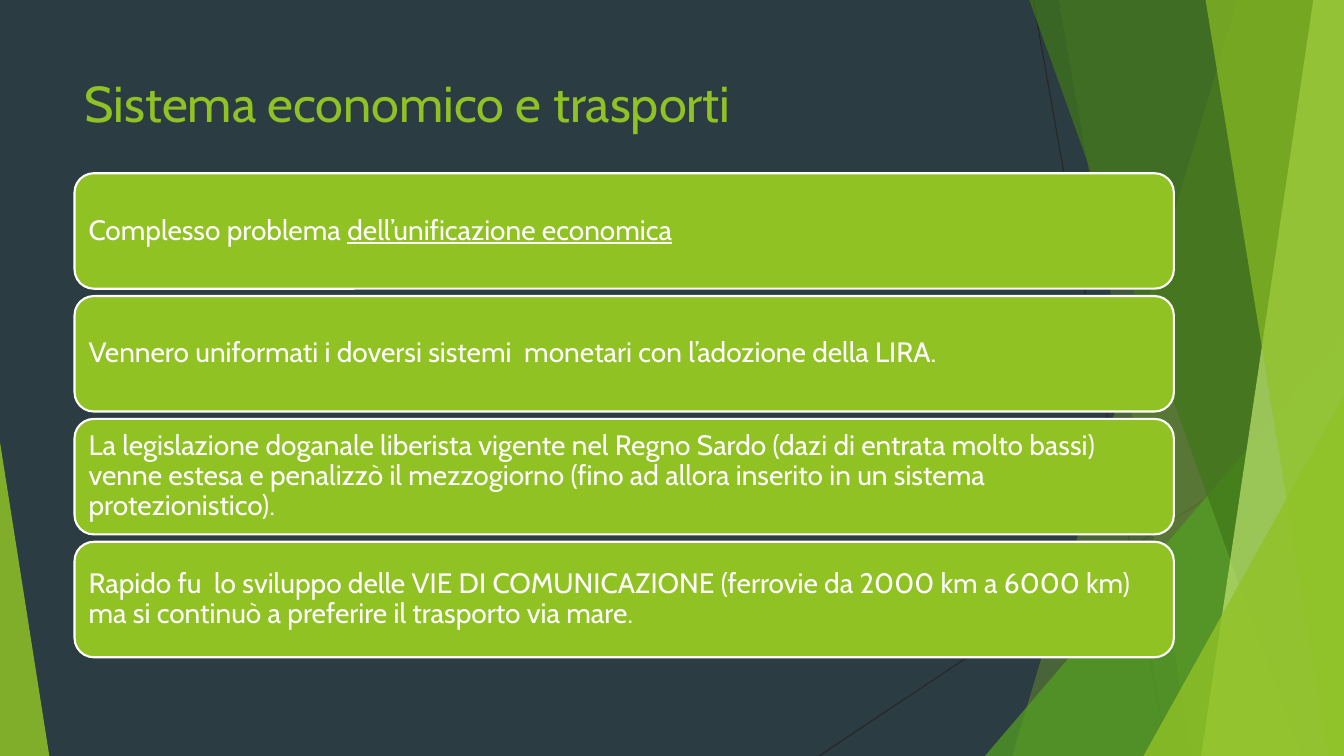
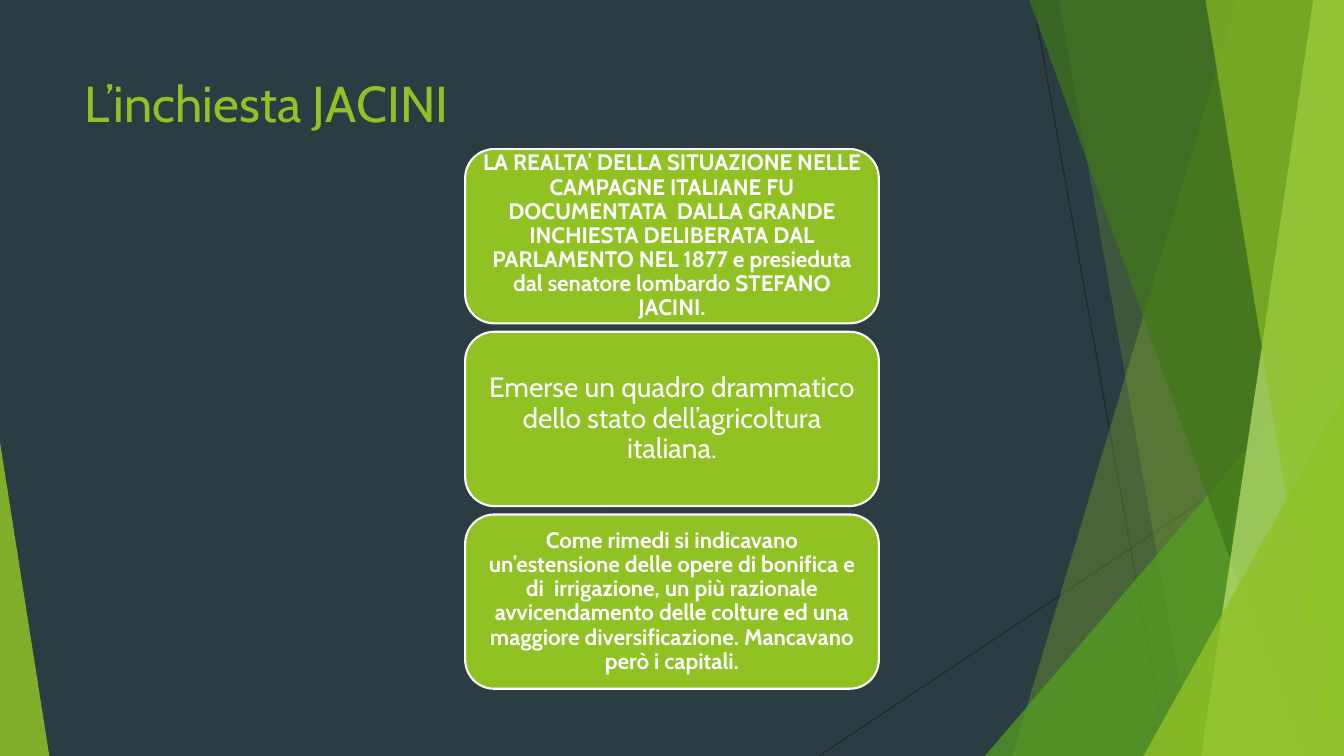
from dataclasses import dataclass

from lxml.etree import SubElement
from pptx import Presentation
from pptx.dml.color import RGBColor
from pptx.enum.shapes import MSO_CONNECTOR, MSO_SHAPE
from pptx.enum.text import MSO_ANCHOR, MSO_AUTO_SIZE, PP_ALIGN
from pptx.oxml.ns import qn
from pptx.util import Pt

PX = 9525  # EMU per pixel
W, H = 1280, 720


@dataclass(frozen=True)
class Theme:
    font: str = "Cabin"
    background: str = "2C3C43"
    accent: str = "90C226"
    card: str = "90C223"
    white: str = "FFFFFF"
    hairline: str = "262626"
    green: str = "54A021"
    dark_green: str = "3F7818"
    pale_green: str = "BFE471"
    title: int = 36
    body: int = 20
    strong: int = 16


theme = Theme()


def rgb(value):
    return RGBColor.from_string(value)


def set_font(font, size, colour, bold=False):
    font.name = theme.font
    font.size = Pt(size)
    font.bold = bold
    font.color.rgb = rgb(colour)


# Content: each card is text, underlined ending, type size, bold
decks = [
    dict(
        title="Sistema economico e trasporti",
        box=(71, 165, 1047, 110), gap=7, insets=(8, 8), align=PP_ALIGN.LEFT,
        cards=[
            ("Complesso problema ", "dell’unificazione economica", theme.body, False),
            ("Vennero uniformati i doversi sistemi  monetari con l’adozione della LIRA.",
             "", theme.body, False),
            ("La legislazione doganale liberista vigente nel Regno Sardo (dazi di entrata "
             "molto bassi) venne estesa e penalizzò il mezzogiorno (fino ad allora inserito "
             "in un sistema protezionistico).", "", theme.body, False),
            ("Rapido fu  lo sviluppo delle VIE DI COMUNICAZIONE (ferrovie da 2000 km a "
             "6000 km) ma si continuò a preferire il trasporto via mare.",
             "", theme.body, False),
        ],
    ),
    dict(
        title="L’inchiesta JACINI",
        box=(443, 142, 394, 166), gap=8, insets=(7, 3), align=PP_ALIGN.CENTER,
        cards=[
            ("LA REALTA’ DELLA SITUAZIONE NELLE CAMPAGNE ITALIANE FU DOCUMENTATA  DALLA "
             "GRANDE INCHIESTA DELIBERATA DAL PARLAMENTO NEL 1877 e presieduta dal senatore "
             "lombardo STEFANO JACINI.", "", theme.strong, True),
            ("Emerse un quadro drammatico dello stato dell’agricoltura italiana.",
             "", theme.body, False),
            ("Come rimedi si indicavano un’estensione delle opere di bonifica e di  "
             "irrigazione, un più razionale avvicendamento delle colture ed una maggiore "
             "diversificazione. Mancavano però i capitali.", "", theme.strong, True),
        ],
    ),
]

# Backdrop: panels run from a slanted left edge (top x, bottom x) to the right side;
# triangles stand on the bottom edge (left, top, width, apex)
hairlines = [(984, 0, 1112, H), (W, 387, 780, H)]
facets = [
    ("panel", theme.accent, 30, (1179, 964)),
    ("panel", theme.accent, 20, (1008, 1136)),
    ("triangle", theme.green, 72, (938, 320, 342, 1)),
    ("panel", theme.dark_green, 70, (980, 1239)),
    ("panel", theme.pale_green, 70, (1251, 1144)),
    ("panel", theme.accent, 65, (1148, 1265)),
    ("triangle", theme.accent, 80, (1089, 377, 191, 1)),
    ("triangle", theme.accent, 85, (0, 421, 47, 0)),
]

prs = Presentation()
prs.slide_width, prs.slide_height = W * PX, H * PX
layout = prs.slide_layouts[5]
layout.background.fill.solid()
layout.background.fill.fore_color.rgb = rgb(theme.background)
slides = [prs.slides.add_slide(layout) for _ in decks]

# Draw the backdrop once, then move it into the shared layout
shapes = slides[0].shapes
backdrop = []
for ends in hairlines:
    line = shapes.add_connector(MSO_CONNECTOR.STRAIGHT, *(v * PX for v in ends))
    line.line.color.rgb = rgb(theme.hairline)
    line.line.width = Pt(0.75)
    SubElement(line.element.spPr, qn("a:effectLst"))
    backdrop.append(line)

for kind, colour, opacity, geometry in facets:
    if kind == "panel":
        top_x, bottom_x = geometry
        outline = shapes.build_freeform(top_x, -1, scale=PX)
        outline.add_line_segments([(W, -1), (W, H), (bottom_x, H)], close=True)
        sp = outline.convert_to_shape()
    else:
        x, y, width, apex = geometry
        sp = shapes.add_shape(MSO_SHAPE.ISOSCELES_TRIANGLE,
                              x * PX, y * PX, width * PX, (H - y) * PX)
        sp.adjustments[0] = apex
    sp.shadow.inherit = False
    sp.line.fill.background()
    sp.fill.solid()
    sp.fill.fore_color.rgb = rgb(colour)
    fill_colour = sp.element.spPr.find(qn("a:solidFill")).find(qn("a:srgbClr"))
    SubElement(fill_colour, qn("a:alpha")).set("val", str(opacity * 1000))
    backdrop.append(sp)

for i, sp in enumerate(backdrop):
    layout.shapes.element.insert(2 + i, sp.element)

for s, deck in zip(slides, decks):
    # Title
    title = s.shapes.title
    title.left, title.top, title.width, title.height = (v * PX for v in (71, 64, 902, 138))
    tf = title.text_frame
    tf.text = deck["title"]
    tf.auto_size = MSO_AUTO_SIZE.NONE
    tf.vertical_anchor = MSO_ANCHOR.TOP
    p = tf.paragraphs[0]
    p.alignment = PP_ALIGN.LEFT
    set_font(p.font, theme.title, theme.accent)

    # Stacked cards
    x, y, width, height = deck["box"]
    for i, (text, underlined, size, bold) in enumerate(deck["cards"]):
        top = y + i * (height + deck["gap"])
        sp = s.shapes.add_shape(MSO_SHAPE.ROUNDED_RECTANGLE,
                                x * PX, top * PX, width * PX, height * PX)
        sp.shadow.inherit = False
        sp.fill.solid()
        sp.fill.fore_color.rgb = rgb(theme.card)
        sp.line.color.rgb = rgb(theme.white)
        sp.line.width = Pt(1.5)

        tf = sp.text_frame
        tf.word_wrap = True
        tf.vertical_anchor = MSO_ANCHOR.MIDDLE
        side, edge = deck["insets"]
        tf.margin_left = tf.margin_right = side * PX
        tf.margin_top = tf.margin_bottom = edge * PX
        p = tf.paragraphs[0]
        p.alignment = deck["align"]
        p.line_spacing = 0.9
        set_font(p.font, size, theme.white, bold)
        p.add_run().text = text
        if underlined:
            r = p.add_run()
            r.text = underlined
            r.font.underline = True

prs.save("out.pptx")
